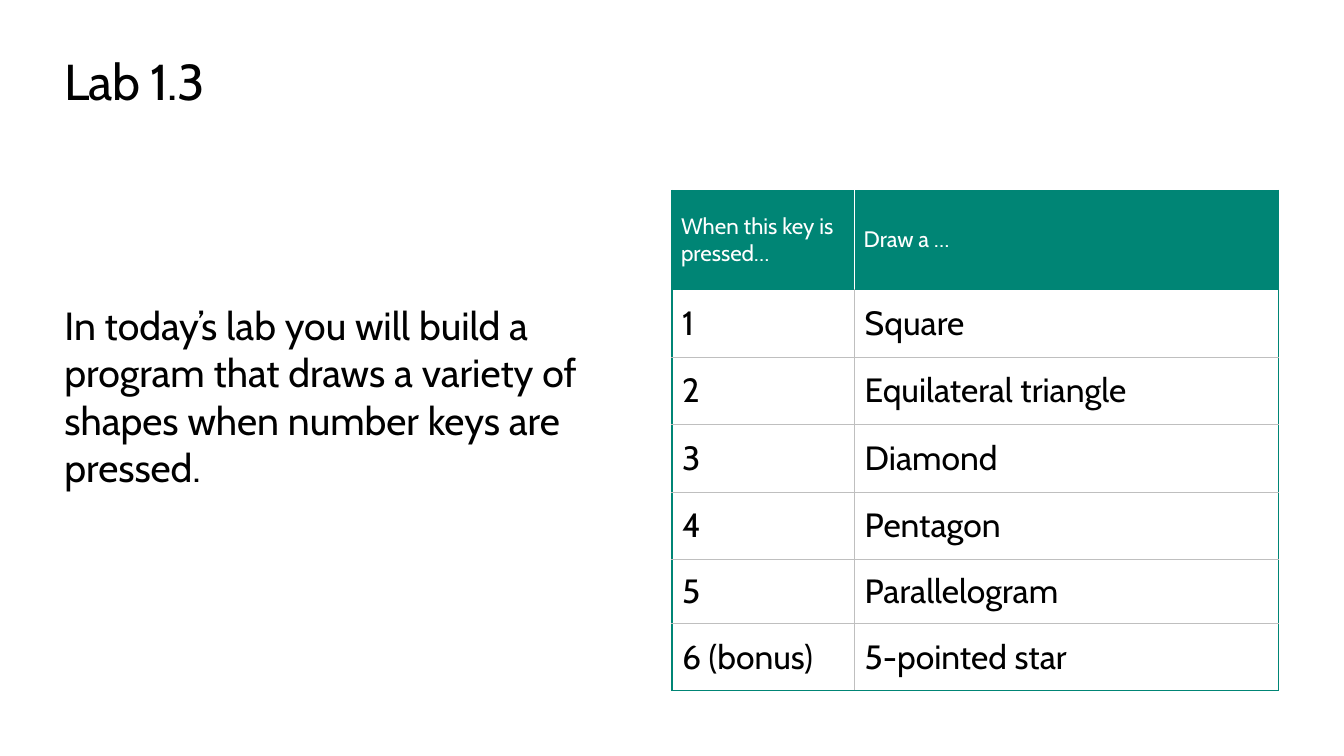
from lxml.etree import SubElement
from pptx import Presentation
from pptx.dml.color import RGBColor
from pptx.enum.text import MSO_ANCHOR
from pptx.oxml.ns import qn
from pptx.util import Pt

FONT = "Cabin"
BLACK = RGBColor(0x00, 0x00, 0x00)
WHITE = RGBColor(0xFF, 0xFF, 0xFF)
TEAL = RGBColor(0x00, 0x85, 0x75)
GREY = RGBColor(0xBF, 0xBF, 0xBF)

OUTER = (TEAL, 1)
INNER = (GREY, 0.75)
HEADER_DIVIDER = (WHITE, 0.75)

COLUMN_WIDTHS = (130.5, 303)
ROW_HEIGHTS = (70.75, 48.25, 48.25, 48.25, 48.25, 45.5, 48.25)
KEY_SHAPES = (
    ("When this key is pressed…", "Draw a …"),
    ("1", "Square"),
    ("2", "Equilateral triangle"),
    ("3", "Diamond"),
    ("4", "Pentagon"),
    ("5", "Parallelogram"),
    ("6 (bonus)", "5-pointed star"),
)


def style_text(frame, size, color):
    span = frame.paragraphs[0].runs[0]
    span.font.name = FONT
    span.font.size = Pt(size)
    span.font.color.rgb = color
    return span


def set_margins(target, side, end):
    target.margin_left = target.margin_right = Pt(side)
    target.margin_top = target.margin_bottom = Pt(end)


def add_text(page, box, text, size):
    frame = page.shapes.add_textbox(*map(Pt, box)).text_frame
    frame.word_wrap = True
    set_margins(frame, 0, 0)
    frame.text = text
    return style_text(frame, size, BLACK)


def add_title(page, box):
    span = add_text(page, box, "Lab 1.3", 36)
    span.font._element.set("spc", "-50")


def add_introduction(page, box):
    add_text(page, box, "In today’s lab you will build a program that draws "
             "a variety of shapes when number keys are pressed.", 28)


def set_borders(cell, left, right, top, bottom):
    """Draw the four sides, each given as (colour, points)."""
    properties = cell._tc.get_or_add_tcPr()
    sides = {"a:lnL": left, "a:lnR": right, "a:lnT": top, "a:lnB": bottom}
    for tag, (color, width) in sides.items():
        line = SubElement(properties, qn(tag), w=str(Pt(width)))
        fill = SubElement(line, qn("a:solidFill"))
        SubElement(fill, qn("a:srgbClr"), val=str(color))


def add_key_table(page, box):
    rows, columns = len(ROW_HEIGHTS), len(COLUMN_WIDTHS)
    table = page.shapes.add_table(rows, columns, *map(Pt, box)).table
    table.first_row = table.horz_banding = False
    for column, width in zip(table.columns, COLUMN_WIDTHS):
        column.width = Pt(width)
    for row, height in zip(table.rows, ROW_HEIGHTS):
        row.height = Pt(height)

    for r, texts in enumerate(KEY_SHAPES):
        header = r == 0
        divider = HEADER_DIVIDER if header else INNER
        for c, text in enumerate(texts):
            cell = table.cell(r, c)
            cell.text = text
            cell.vertical_anchor = MSO_ANCHOR.MIDDLE
            set_margins(cell, 6.5 if header else 7.2, 3.6)
            style_text(cell.text_frame, 16 if header else 24,
                       WHITE if header else BLACK)
            set_borders(
                cell,
                left=OUTER if c == 0 else divider,
                right=OUTER if c == columns - 1 else divider,
                top=OUTER if r <= 1 else INNER,
                bottom=OUTER if r in (0, rows - 1) else INNER,
            )
            cell.fill.solid()
            cell.fill.fore_color.rgb = TEAL if header else WHITE


def main():
    deck = Presentation()
    deck.slide_width, deck.slide_height = Pt(960), Pt(540)
    page = deck.slides.add_slide(deck.slide_layouts[6])
    add_title(page, (46, 36, 868, 44))
    add_introduction(page, (46, 215.5, 389, 168))
    add_key_table(page, (480, 136, sum(COLUMN_WIDTHS), sum(ROW_HEIGHTS)))
    deck.save("out.pptx")


if __name__ == "__main__":
    main()
